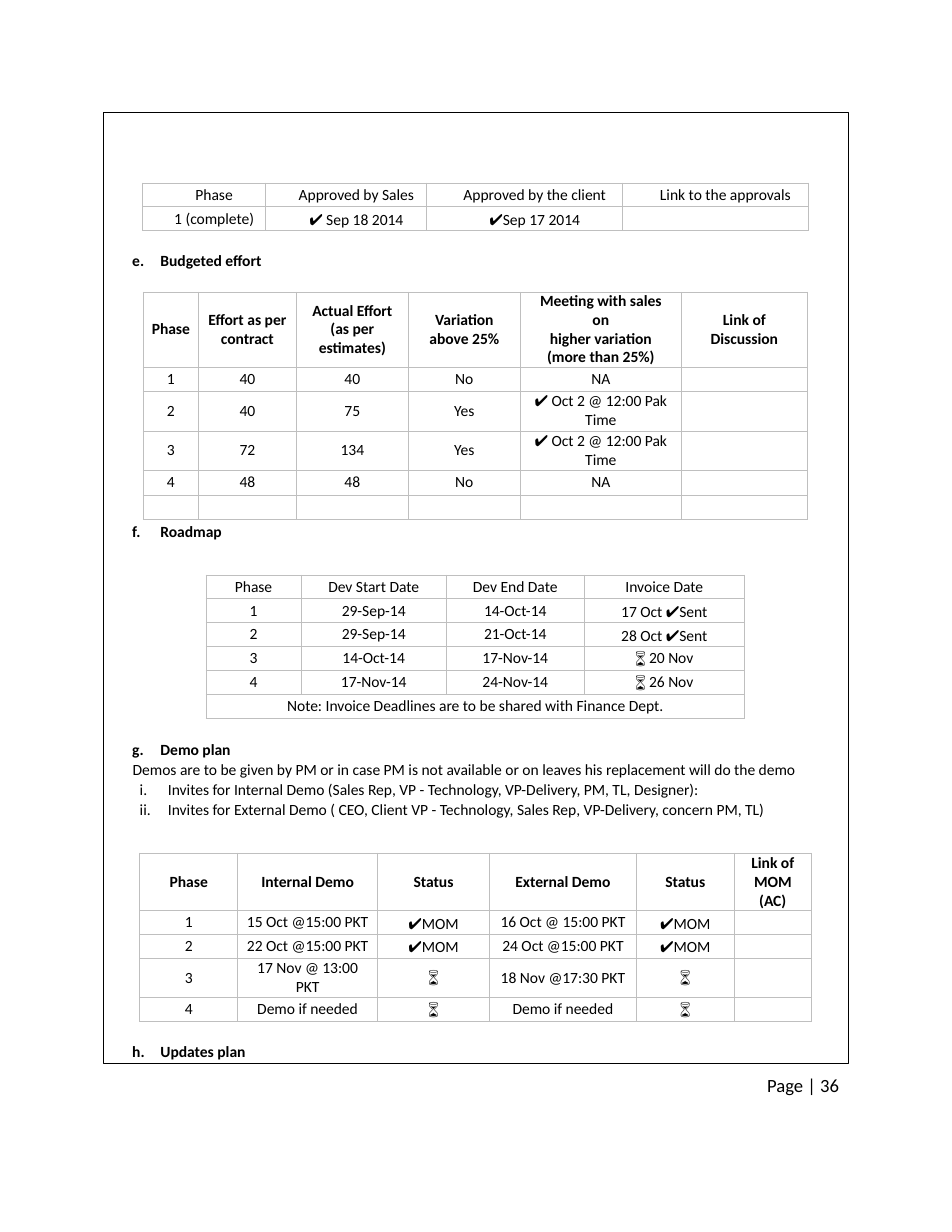
from itertools import groupby

from lxml import etree
from pptx import Presentation
from pptx.dml.color import RGBColor
from pptx.enum.shapes import MSO_SHAPE
from pptx.enum.text import MSO_ANCHOR, PP_ALIGN
from pptx.oxml.ns import qn
from pptx.util import Cm, Pt

CENTER = PP_ALIGN.CENTER
MIDDLE = MSO_ANCHOR.MIDDLE
RECTANGLE = MSO_SHAPE.RECTANGLE

THEME = {
    "ink": RGBColor(0, 0, 0),
    "grid": "BFBFBF",
    "grid_width": Pt(0.5),
    "frame_width": Pt(0.5),
    "font": "Calibri",
    "symbol_fonts": {"✔": "Noto Sans CJK JP", "⌛": "Cambria"},
    "body": 10,
    "footer": 12,
}

APPROVALS = {
    "at": (3.23, 4.15),
    "columns": [2.79, 3.66, 4.43, 4.22],
    "heights": [0.54] * 2,
    "indent": 0.46,
    "rows": [
        ["Phase", "Approved by Sales", "Approved by the client", "Link to the approvals"],
        ["1 (complete)", "✔ Sep 18 2014", "✔Sep 17 2014", ""],
    ],
}
EFFORT = {
    "at": (3.25, 6.63),
    "columns": [1.25, 2.22, 2.54, 2.54, 3.65, 2.86],
    "padding": [0, 0.1, 0.2, 0.2, 0.25, 0.25],
    "heights": [1.3, 0.55, 0.9, 0.9, 0.55, 0.55],
    "bold_header": True,
    "line_spacing": Pt(12),
    "rows": [
        ["Phase", "Effort as per contract", "Actual Effort\n(as per estimates)", "Variation above 25%",
         "Meeting with sales on\nhigher variation (more than 25%)", "Link of Discussion"],
        ["1", "40", "40", "No", "NA", ""],
        ["2", "40", "75", "Yes", "✔ Oct 2 @ 12:00 Pak Time", ""],
        ["3", "72", "134", "Yes", "✔ Oct 2 @ 12:00 Pak Time", ""],
        ["4", "48", "48", "No", "NA", ""],
        [""] * 6,
    ],
}
ROADMAP = {
    "at": (4.67, 13.04),
    "columns": [2.16, 3.29, 3.13, 3.63],
    "heights": [0.54] * 6,
    "rows": [
        ["Phase", "Dev Start Date", "Dev End Date", "Invoice Date"],
        ["1", "29-Sep-14", "14-Oct-14", "17 Oct ✔Sent"],
        ["2", "29-Sep-14", "21-Oct-14", "28 Oct ✔Sent"],
        ["3", "14-Oct-14", "17-Nov-14", "⌛ 20 Nov"],
        ["4", "17-Nov-14", "24-Nov-14", "⌛ 26 Nov"],
        ["Note: Invoice Deadlines are to be shared with Finance Dept."],
    ],
}
DEMOS = {
    "at": (3.17, 19.35),
    "columns": [2.22, 3.17, 2.54, 3.33, 2.22, 1.75],
    "padding": [0, 0, 0, 0, 0, 0.2],
    "heights": [1.3, 0.54, 0.54, 0.89, 0.54],
    "bold_header": True,
    "rows": [
        ["Phase", "Internal Demo", "Status", "External Demo", "Status", "Link of\nMOM (AC)"],
        ["1", "15 Oct @15:00 PKT", "✔MOM", "16 Oct @ 15:00 PKT", "✔MOM", ""],
        ["2", "22 Oct @15:00 PKT", "✔MOM", "24 Oct @15:00 PKT", "✔MOM", ""],
        ["3", "17 Nov @ 13:00\nPKT", "⌛", "18 Nov @17:30 PKT", "⌛", ""],
        ["4", "Demo if needed", "⌛", "Demo if needed", "⌛", ""],
    ],
}

LETTERS = "alphaLcPeriod"
ROMANS = "romanLcPeriod"
SECTIONS = [
    {"top": 5.69, "width": 3.4, "lines": [("Budgeted effort", LETTERS, 5)]},
    {"top": 11.84, "width": 2.5, "lines": [("Roadmap", LETTERS, 6)]},
    {"top": 16.79, "width": 15.5, "lines": [
        ("Demo plan", LETTERS, 7),
        ("Demos are to be given by PM or in case PM is not available or on leaves his replacement "
         "will do the demo", None, None),
        ("Invites for Internal Demo (Sales Rep, VP - Technology, VP-Delivery, PM, TL, Designer):",
         ROMANS, 1),
        ("Invites for External Demo ( CEO, Client VP - Technology, Sales Rep, VP-Delivery, "
         "concern PM, TL)", ROMANS, 1),
    ]},
    {"top": 23.62, "width": 3, "lines": [("Updates plan", LETTERS, 8)]},
]
SECTION_LEFT = 2.97
LINE_HEIGHT = 0.45
HANGING = 0.64
INDENTS = {LETTERS: 0.67, ROMANS: 0.84, None: 0.04}


def write(paragraph, text, bold=False, size=THEME["body"]):
    for symbol_font, letters in groupby(text, THEME["symbol_fonts"].get):
        run = paragraph.add_run()
        run.text = "".join(letters)
        run.font.name = symbol_font or THEME["font"]
        run.font.size = Pt(size)
        run.font.bold = bold
        run.font.color.rgb = THEME["ink"]
    if not text:
        etree.SubElement(paragraph._p, qn("a:endParaRPr"), sz=str(size * 100))


def add_textbox(slide, left, top, width, height):
    frame = slide.shapes.add_textbox(Cm(left), Cm(top), Cm(width), Cm(height)).text_frame
    frame.margin_left = frame.margin_right = frame.margin_top = frame.margin_bottom = 0
    frame.word_wrap = True
    return frame


def add_borders(cell):
    properties = cell._tc.get_or_add_tcPr()
    for side in ("lnL", "lnR", "lnT", "lnB"):
        line = etree.SubElement(properties, qn(f"a:{side}"), w=str(THEME["grid_width"]))
        fill = etree.SubElement(line, qn("a:solidFill"))
        etree.SubElement(fill, qn("a:srgbClr"), val=THEME["grid"])


def add_grid(slide, content):
    columns, heights = content["columns"], content["heights"]
    left, top = content["at"]
    padding = content.get("padding", [0] * len(columns))
    table = slide.shapes.add_table(len(heights), len(columns), Cm(left), Cm(top),
                                   Cm(sum(columns)), Cm(sum(heights))).table
    table.first_row = table.horz_banding = False
    for column, width in zip(table.columns, columns):
        column.width = Cm(width)
    for r, (height, texts) in enumerate(zip(heights, content["rows"])):
        table.rows[r].height = Cm(height)
        if len(texts) == 1:
            table.cell(r, 0).merge(table.cell(r, len(columns) - 1))
        for c, side in enumerate(padding):
            cell = table.cell(r, c)
            cell.margin_left = Cm(side + content.get("indent", 0))
            cell.margin_right = Cm(side)
            cell.margin_top = cell.margin_bottom = 0
            cell.vertical_anchor = MIDDLE
            add_borders(cell)
            cell.fill.background()
            lines = texts[c].split("\n") if c < len(texts) else [""]
            for i, line in enumerate(lines):
                frame = cell.text_frame
                paragraph = frame.add_paragraph() if i else frame.paragraphs[0]
                paragraph.alignment = CENTER
                paragraph.line_spacing = content.get("line_spacing")
                write(paragraph, line, bold=r == 0 and content.get("bold_header", False))


def add_section(slide, section):
    lines = section["lines"]
    frame = add_textbox(slide, SECTION_LEFT, section["top"], section["width"],
                        LINE_HEIGHT * len(lines))
    for i, (text, numbering, start) in enumerate(lines):
        paragraph = frame.add_paragraph() if i else frame.paragraphs[0]
        if i:
            paragraph.space_before = Pt(0.8)
        properties = paragraph._p.get_or_add_pPr()
        properties.set("marL", str(Cm(INDENTS[numbering])))
        properties.set("indent", str(Cm(-HANGING if numbering else 0)))
        if numbering:
            number = etree.SubElement(properties, qn("a:buAutoNum"), type=numbering)
            if start > 1:
                number.set("startAt", str(start))
        if numbering == ROMANS:
            paragraph.level = 1
        write(paragraph, text, bold=numbering == LETTERS)


def main():
    deck = Presentation()
    deck.slide_width, deck.slide_height = Cm(21.59), Cm(27.94)
    slide = deck.slides.add_slide(deck.slide_layouts[6])
    for content in (APPROVALS, EFFORT, ROADMAP, DEMOS):
        add_grid(slide, content)
    for section in SECTIONS:
        add_section(slide, section)
    border = slide.shapes.add_shape(RECTANGLE, Cm(2.35), Cm(2.55), Cm(16.89), Cm(21.56))
    border.shadow.inherit = False
    border.fill.background()
    border.line.color.rgb = THEME["ink"]
    border.line.width = THEME["frame_width"]
    footer = add_textbox(slide, 17.4, 24.36, 2, 0.5)
    write(footer.paragraphs[0], "Page | 36", size=THEME["footer"])
    deck.save("out.pptx")


if __name__ == "__main__":
    main()
